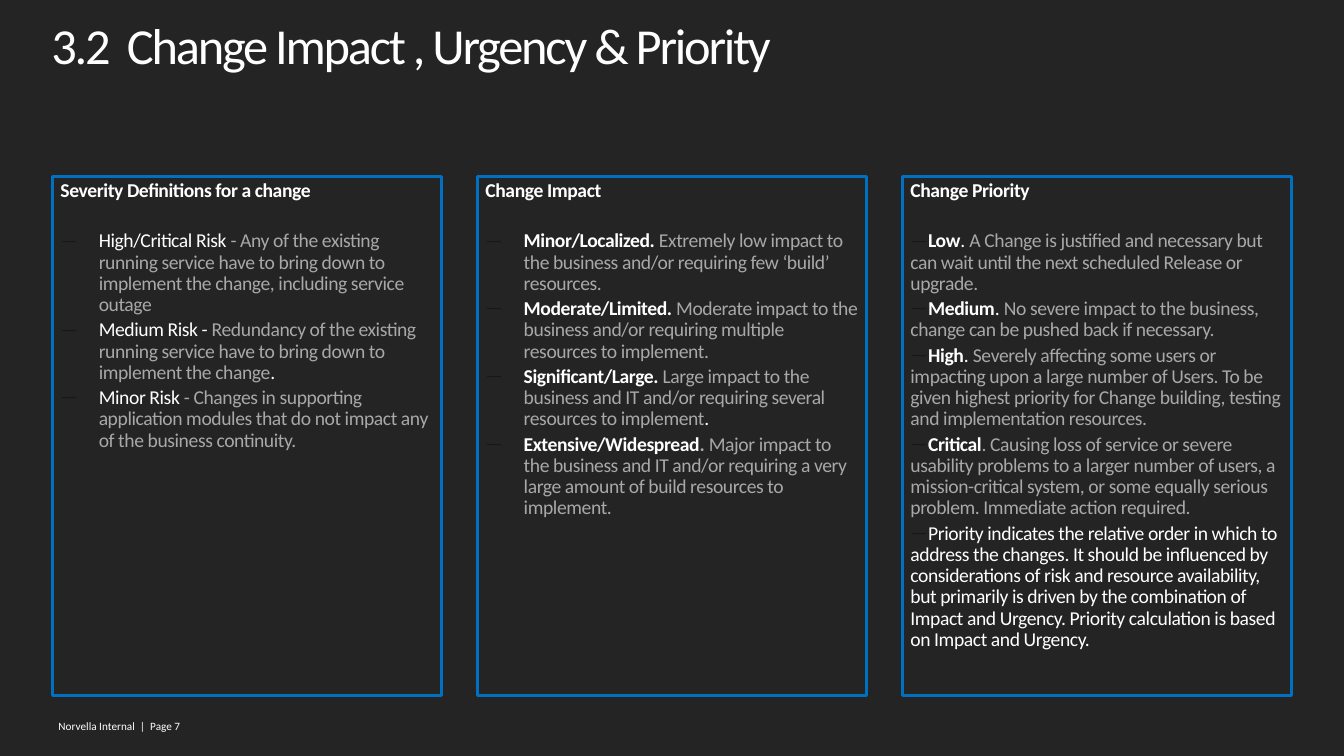
from lxml import etree
from pptx import Presentation
from pptx.dml.color import RGBColor
from pptx.enum.shapes import MSO_SHAPE
from pptx.enum.text import MSO_ANCHOR, PP_ALIGN
from pptx.oxml.ns import qn
from pptx.util import Inches, Pt

RECTANGLE = MSO_SHAPE.RECTANGLE
TOP = MSO_ANCHOR.TOP
LEFT = PP_ALIGN.LEFT
FONT = "Calibri"
COLORS = {"background": "242424", "white": "FFFFFF", "gray": "A8A8A8",
          "border": "0070C0", "bullet": "181818"}
STYLES = {"strong": ("white", True), "plain": ("white", False),
          "muted": ("gray", False), "muted strong": ("gray", True)}

COLUMNS = [
    ("Severity Definitions for a change", 0.38, [
        [("High/Critical Risk ", "plain"),
         ("- Any of the existing running service have to bring down to implement "
          "the change, including service outage", "muted")],
        [("Medium Risk - ", "plain"),
         ("Redundancy of the existing running service have to bring down to "
          "implement the change", "muted"), (".", "plain")],
        [("Minor Risk ", "plain"),
         ("- Changes in supporting application modules that do not impact any of "
          "the business continuity.", "muted")],
    ]),
    ("Change Impact", 0.38, [
        [("Minor/Localized. ", "strong"),
         ("Extremely low impact to the business and/or requiring few ‘build’ "
          "resources.", "muted")],
        [("Moderate/Limited. ", "strong"),
         ("Moderate impact to the business and/or requiring multiple resources "
          "to implement.", "muted")],
        [("Significant/Large. ", "strong"),
         ("Large impact to the business and IT and/or requiring several resources "
          "to implement", "muted"), (".", "plain")],
        [("Extensive/Widespread", "strong"), (".", "muted strong"),
         (" Major impact to the business and IT and/or requiring a very large "
          "amount of build resources to implement.", "muted")],
    ]),
    ("Change Priority", 0, [
        [("Low", "strong"), (". ", "plain"),
         ("A Change is justified and necessary but can wait until the next "
          "scheduled Release or upgrade.", "muted")],
        [("Medium", "strong"), (". ", "plain"),
         ("No severe impact to the business, change can be pushed back if "
          "necessary.", "muted")],
        [("High", "strong"), (". ", "plain"),
         ("Severely affecting some users or impacting upon a large number of "
          "Users. To be given highest priority for Change building, testing and "
          "implementation resources.", "muted")],
        [("Critical", "strong"),
         (". Causing loss of service or severe usability problems to a larger "
          "number of users, a mission-critical system, or some equally serious "
          "problem. Immediate action required.", "muted")],
        [("Priority indicates the relative order in which to address the changes. "
          "It should be influenced by considerations of risk and resource "
          "availability, but primarily is driven by the combination of Impact and "
          "Urgency. Priority calculation is based on Impact and Urgency.", "plain")],
    ]),
]


def rgb(name):
    """Return the named colour."""
    return RGBColor.from_string(COLORS[name])


def format_run(run, size, style="plain", spacing=0):
    """Set font, size in points, style and letter spacing in points."""
    color, bold = STYLES[style]
    run.font.name = FONT
    run.font.size = Pt(size)
    run.font.bold = bold
    run.font.color.rgb = rgb(color)
    if spacing:
        run.font._element.set("spc", str(round(spacing * 100)))


def format_paragraph(paragraph, line_spacing, before):
    """Left-align a paragraph and set its spacing."""
    paragraph.alignment = LEFT
    paragraph.line_spacing = line_spacing
    paragraph.space_before = Pt(before)


def prepare_frame(frame, horizontal, vertical, wrap):
    """Set insets in inches, top anchoring and wrapping."""
    frame.margin_left = frame.margin_right = Inches(horizontal)
    frame.margin_top = frame.margin_bottom = Inches(vertical)
    frame.vertical_anchor = TOP
    frame.word_wrap = wrap


def add_dash_bullet(paragraph, indent):
    """Give a paragraph a dark dash bullet with a hanging first line."""
    properties = paragraph._p.get_or_add_pPr()
    properties.set("marL", str(Inches(indent)))
    properties.set("indent", str(Inches(-0.38)))
    color = etree.SubElement(properties, qn("a:buClr"))
    etree.SubElement(color, qn("a:srgbClr"), val=COLORS["bullet"])
    etree.SubElement(properties, qn("a:buFont"), typeface=FONT)
    etree.SubElement(properties, qn("a:buChar"), char="—")


def add_title(slide, left, top, width, height):
    """Place the slide title."""
    box = slide.shapes.add_textbox(*map(Inches, (left, top, width, height)))
    prepare_frame(box.text_frame, 0.08, 0.04, True)
    paragraph = box.text_frame.paragraphs[0]
    paragraph.text = "3.2  Change Impact , Urgency & Priority"
    format_paragraph(paragraph, 0.85, 3)
    format_run(paragraph.runs[0], 36, spacing=-1.6)


def add_column(slide, left, top, width, height, heading, indent, items):
    """Place one bordered column with a heading and dash bullets."""
    shape = slide.shapes.add_shape(
        RECTANGLE, *map(Inches, (left, top, width, height)))
    shape.shadow.inherit = False
    shape.fill.background()
    shape.line.color.rgb = rgb("border")
    shape.line.width = Pt(2.25)
    frame = shape.text_frame
    prepare_frame(frame, 0.08, 0.04, True)
    frame.text = heading
    format_paragraph(frame.paragraphs[0], 0.9, 3)
    format_run(frame.paragraphs[0].runs[0], 14, "strong", -0.3)
    for index, parts in enumerate(items):
        paragraph = frame.add_paragraph()
        format_paragraph(paragraph, 0.9, 3 if index else 21)
        add_dash_bullet(paragraph, indent)
        for text, style in parts:
            run = paragraph.add_run()
            run.text = text
            format_run(run, 14, style, -0.3)


def add_columns(slide, left, top, width, height):
    """Spread the columns evenly over the given box."""
    column_width = 3.86
    pitch = (width - column_width) / (len(COLUMNS) - 1)
    for index, column in enumerate(COLUMNS):
        add_column(slide, left + index * pitch, top, column_width, height, *column)


def add_footer(slide, left, top, width, height):
    """Place the footer line."""
    box = slide.shapes.add_textbox(*map(Inches, (left, top, width, height)))
    prepare_frame(box.text_frame, 0, 0, False)
    box.text_frame.text = "Norvella Internal  |  Page 7"
    paragraph = box.text_frame.paragraphs[0]
    paragraph.alignment = LEFT
    format_run(paragraph.runs[0], 8)


def main():
    """Build and save the slide."""
    presentation = Presentation()
    presentation.slide_width = Inches(13.33)
    presentation.slide_height = Inches(7.5)
    slide = presentation.slides.add_slide(presentation.slide_layouts[6])
    slide.background.fill.solid()
    slide.background.fill.fore_color.rgb = rgb("background")
    add_footer(slide, 0.58, 7.14, 10.79, 0.24)
    add_columns(slide, 0.52, 1.75, 12.29, 5.15)
    add_title(slide, 0.43, 0.19, 9.01, 0.83)
    presentation.save("out.pptx")


if __name__ == "__main__":
    main()
